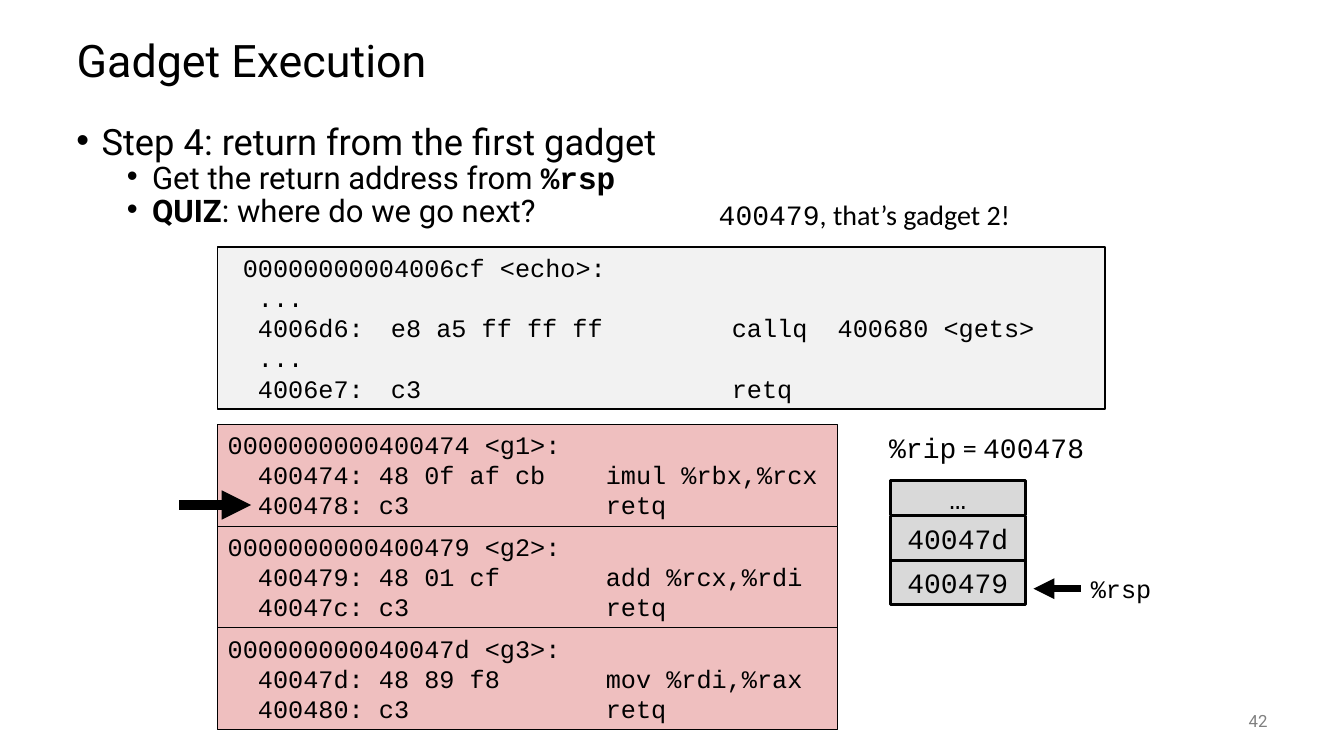
"""Build the Gadget Execution slide."""
from dataclasses import dataclass
from typing import Optional

from lxml import etree
from pptx import Presentation
from pptx.dml.color import RGBColor
from pptx.enum.shapes import MSO_CONNECTOR, MSO_SHAPE
from pptx.enum.text import MSO_ANCHOR, PP_ALIGN
from pptx.oxml.ns import qn
from pptx.util import Inches, Pt

BLACK = RGBColor(0x00, 0x00, 0x00)
GRAY = RGBColor(0x80, 0x80, 0x80)
PINK = RGBColor(0xEF, 0xBF, 0xBF)
PALE = RGBColor(0xF2, 0xF2, 0xF2)
SILVER = RGBColor(0xD9, 0xD9, 0xD9)
SANS, MONO, LABEL = "Roboto", "Courier New", "Calibri"
RECT, STRAIGHT = MSO_SHAPE.RECTANGLE, MSO_CONNECTOR.STRAIGHT
TOP, MIDDLE = MSO_ANCHOR.TOP, MSO_ANCHOR.MIDDLE
LEFT, CENTER, RIGHT = PP_ALIGN.LEFT, PP_ALIGN.CENTER, PP_ALIGN.RIGHT


@dataclass
class Span:
    text: str
    name: str = MONO
    bold: bool = False


@dataclass
class Block:
    at: tuple[float, float, float, float]
    lines: list[list[Span]]
    size: float = 18
    fill: Optional[RGBColor] = None
    line: float = 0.75
    align: PP_ALIGN = LEFT
    anchor: MSO_ANCHOR = TOP
    wrap: bool = True
    color: RGBColor = BLACK
    tabs: tuple[float, ...] = ()


@dataclass
class Bullet:
    spans: list[Span]
    size: float
    indent: float
    before: float


@dataclass
class Arrow:
    start: float
    end: float
    y: float
    width: float


def code(text: str) -> list[list[Span]]:
    return [[Span(row)] for row in text.split("\n")]


def add_spans(p, spans: list[Span], size: float, color: RGBColor) -> None:
    for span in spans:
        r = p.add_run()
        r.text = span.text
        style = {"name": span.name, "bold": span.bold, "size": Pt(size)}
        for key, value in style.items():
            setattr(r.font, key, value)
        r.font.color.rgb = color


def add_tabs(p, stops: tuple[float, ...]) -> None:
    tabs = etree.SubElement(p._p.get_or_add_pPr(), qn("a:tabLst"))
    for stop in stops:
        etree.SubElement(tabs, qn("a:tab"), pos=str(Inches(stop)), algn="l")


def add_block(s, block: Block) -> None:
    box = [Inches(v) for v in block.at]
    if block.fill is None:
        sp = s.shapes.add_textbox(*box)
    else:
        sp = s.shapes.add_shape(RECT, *box)
        sp.shadow.inherit = False
        sp.fill.solid()
        sp.fill.fore_color.rgb = block.fill
        sp.line.color.rgb = BLACK
        sp.line.width = Pt(block.line)
    tf = sp.text_frame
    tf.word_wrap = block.wrap
    tf.vertical_anchor = block.anchor
    for i, spans in enumerate(block.lines):
        p = tf.add_paragraph() if i else tf.paragraphs[0]
        if block.tabs:
            add_tabs(p, block.tabs)
        p.alignment = block.align
        add_spans(p, spans, block.size, block.color)


def add_bullets(s, bullets: list[Bullet]) -> None:
    sp = s.shapes.add_textbox(Inches(0.66), Inches(1.25), Inches(12), Inches(1.08))
    tf = sp.text_frame
    tf.word_wrap = True
    for i, bullet in enumerate(bullets):
        p = tf.add_paragraph() if i else tf.paragraphs[0]
        pPr = p._p.get_or_add_pPr()
        pPr.set("marL", str(Inches(bullet.indent)))
        pPr.set("indent", str(Inches(-0.25)))
        etree.SubElement(pPr, qn("a:buFont"), typeface="Arial")
        etree.SubElement(pPr, qn("a:buChar"), char="•")
        p.line_spacing = 0.7
        p.space_before = Pt(bullet.before)
        add_spans(p, bullet.spans, bullet.size, BLACK)


def add_arrow(s, arrow: Arrow) -> None:
    y = Inches(arrow.y)
    c = s.shapes.add_connector(STRAIGHT, Inches(arrow.start), y, Inches(arrow.end), y)
    c.line.color.rgb = BLACK
    c.line.width = Pt(arrow.width)
    etree.SubElement(c.line._get_or_add_ln(), qn("a:tailEnd"), type="triangle")
    etree.SubElement(c._element.spPr, qn("a:effectLst"))


def add_title(s, text: str) -> None:
    sp = s.shapes.title
    box = {"left": 0.66, "top": 0.25, "width": 12, "height": 0.75}
    for key, value in box.items():
        setattr(sp, key, Inches(value))
    tf = sp.text_frame
    tf.vertical_anchor = MIDDLE
    p = tf.paragraphs[0]
    p.alignment = LEFT
    p.line_spacing = 0.9
    add_spans(p, [Span(text, SANS)], 32, BLACK)


BULLETS = [
    Bullet([Span("Step 4: return from the first gadget", SANS)], 25.9, 0.25, 0),
    Bullet([Span("Get the return address from ", SANS), Span("%rsp", MONO, True)],
           22.2, 0.75, 5),
    Bullet([Span("QUIZ", SANS, True), Span(": where do we go next?", SANS)],
           22.2, 0.75, 5),
]
GADGETS = [
    """0000000000400474 <g1>:
  400474: 48 0f af cb    imul %rbx,%rcx
  400478: c3             retq""",
    """0000000000400479 <g2>:
  400479: 48 01 cf       add %rcx,%rdi
  40047c: c3             retq""",
    """000000000040047d <g3>:
  40047d: 48 89 f8       mov %rdi,%rax
  400480: c3             retq""",
]
ECHO = """ 00000000004006cf <echo>:
  ...
  4006d6:\te8 a5 ff ff ff       \tcallq  400680 <gets>
  ...
  4006e7:\tc3                   \tretq"""
STACK = [("…", 4.77, 0.34), ("40047d", 5.12, 0.44), ("400479", 5.56, 0.44)]
ARROWS = [Arrow(1.78, 2.49, 5.01, 7), Arrow(10.72, 10.25, 5.84, 5)]
BLOCKS = [
    *(Block((2.16, 4.21 + 1.01 * i, 6.15, 1.01), code(gadget), fill=PINK)
      for i, gadget in enumerate(GADGETS)),
    Block((2.16, 2.45, 8.8, 1.61), code(ECHO), fill=PALE, line=1,
          tabs=(0.5, 1.62, 4.12, 4.31)),
    *(Block((8.83, top, 1.34, height), code(value), 20, SILVER, 2, CENTER, MIDDLE)
      for value, top, height in STACK),
    Block((8.72, 4.22, 2.15, 0.44),
          [[Span("%rip"), Span(" = ", LABEL), Span("400478")]], 20, wrap=False),
    Block((10.72, 5.64, 1.02, 0.4), code("%rsp")),
    Block((7.03, 1.91, 3.15, 0.44),
          [[Span("400479"), Span(", that’s gadget 2!", LABEL)]], 20, wrap=False),
    Block((11.67, 6.95, 1, 0.4), [[Span("42", SANS)]], 12, align=RIGHT,
          anchor=MIDDLE, color=GRAY),
]


def main() -> None:
    prs = Presentation()
    prs.slide_width, prs.slide_height = Inches(13.33), Inches(7.5)
    s = prs.slides.add_slide(prs.slide_layouts[5])
    add_title(s, "Gadget Execution")
    add_bullets(s, BULLETS)
    for block in BLOCKS:
        add_block(s, block)
    for arrow in ARROWS:
        add_arrow(s, arrow)
    prs.save("out.pptx")


if __name__ == "__main__":
    main()
